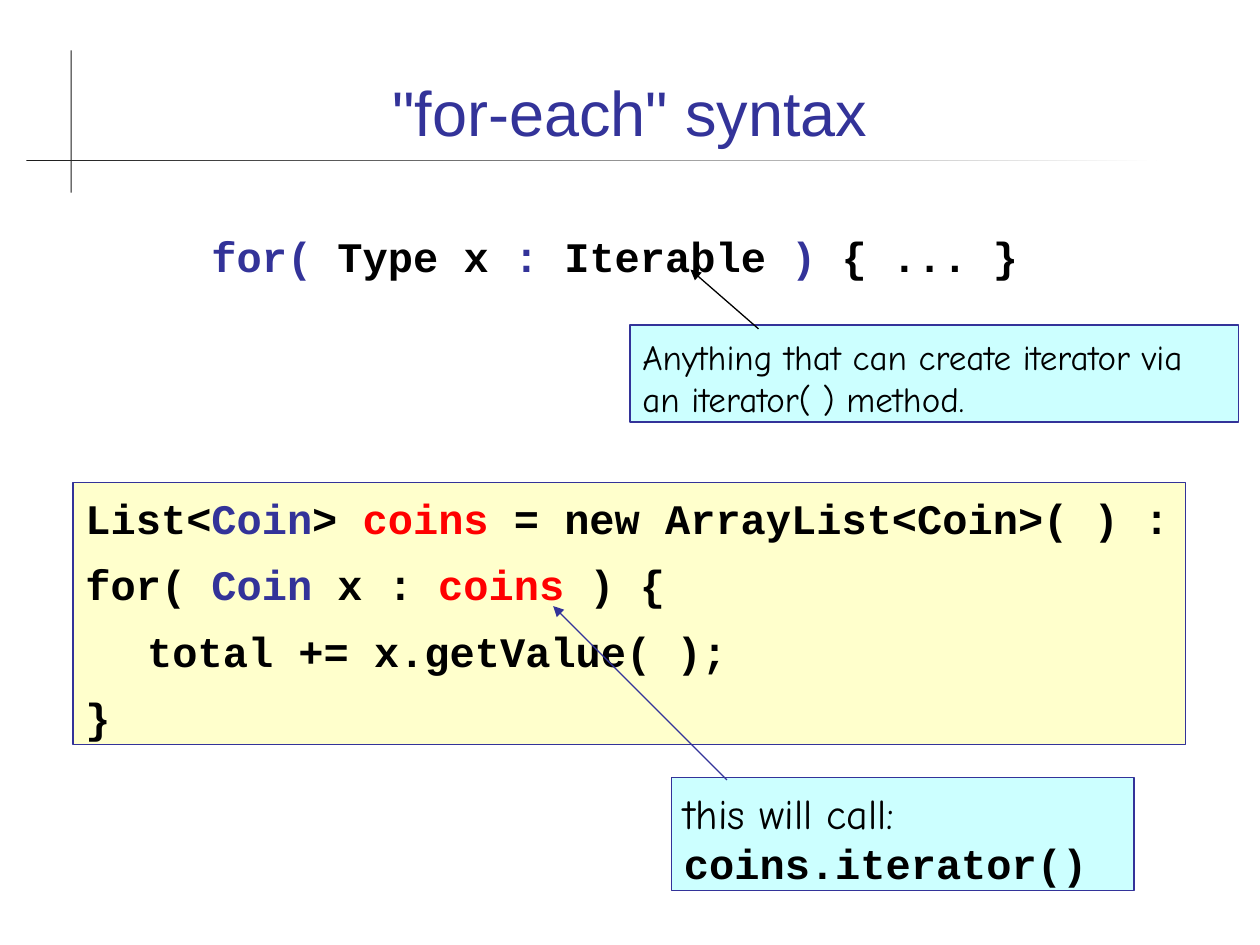
from pptx import Presentation
from pptx.dml.color import RGBColor
from pptx.enum.shapes import MSO_CONNECTOR, MSO_SHAPE
from pptx.enum.text import MSO_ANCHOR, PP_ALIGN
from pptx.oxml.ns import qn
from pptx.util import Inches, Pt
from lxml.etree import SubElement

BLUE, BLACK, RED = "333399", "000000", "FF0000"
YELLOW, CYAN = "FFFFCC", "CCFFFF"
MONO, COMIC = "Courier New", "Comic Neue"


def color(value):
    return RGBColor.from_string(value)


def style_span(span, font, size, ink, bold=False):
    span.font.name = font
    span.font.size = Pt(size)
    span.font.bold = bold
    span.font.color.rgb = color(ink)


def add_tab(para, position):
    tabs = SubElement(para._p.get_or_add_pPr(), qn("a:tabLst"))
    SubElement(tabs, qn("a:tab"), pos=str(Inches(position)), algn="l")


def fill_text(box, lines, size=24, gap=0, tab=None):
    """Each line is a list of (text, colour, font) spans."""
    frame = box.text_frame
    frame.word_wrap = True
    frame.vertical_anchor = MSO_ANCHOR.TOP
    frame.margin_top = Inches(0.08)
    for index, spans in enumerate(lines):
        para = frame.add_paragraph() if index else frame.paragraphs[0]
        para.alignment = PP_ALIGN.LEFT
        para.line_spacing = Pt(size * 1.2)
        if index:
            para.space_before = Pt(gap)
        if tab:
            add_tab(para, tab)
        for text, ink, font in spans:
            span = para.add_run()
            span.text = text
            style_span(span, font, size, ink, font == MONO)


def code(*spans):
    return [(text, ink, MONO) for text, ink in spans]


def add_panel(page, left, top, width, height, fill):
    box = page.shapes.add_shape(MSO_SHAPE.RECTANGLE, Inches(left), Inches(top),
                                Inches(width), Inches(height))
    box.shadow.inherit = False
    box.fill.solid()
    box.fill.fore_color.rgb = color(fill)
    box.line.color.rgb = color(BLUE)
    box.line.width = Pt(0.75)
    return box


def add_rule(page, left, top, width, height):
    rule = add_panel(page, left, top, width, height, "1C1C1C")
    rule.line.fill.background()
    return rule


def add_arrow(page, start, end, ink):
    arrow = page.shapes.add_connector(
        MSO_CONNECTOR.STRAIGHT, *(Inches(value) for value in start + end))
    arrow.line.color.rgb = color(ink)
    arrow.line.width = Pt(0.75)
    SubElement(arrow.line._get_or_add_ln(), qn("a:tailEnd"), type="triangle")
    SubElement(arrow._element.spPr, qn("a:effectLst"))


def set_title(page, text):
    title = page.shapes.title
    title.left, title.top = Inches(0.67), Inches(0.28)
    title.width, title.height = Inches(8.66), Inches(0.95)
    title.text_frame.text = text
    title.text_frame.vertical_anchor = MSO_ANCHOR.BOTTOM
    para = title.text_frame.paragraphs[0]
    para.alignment = PP_ALIGN.CENTER
    style_span(para.runs[0], "Arial", 36, BLUE)


def main():
    deck = Presentation()
    deck.slide_width, deck.slide_height = Inches(10), Inches(7.5)
    page = deck.slides.add_slide(deck.slide_layouts[5])

    # Crossed rules around the title
    add_rule(page, 0.56, 0.4, 0.01, 1.13)
    fade = add_rule(page, 0.21, 1.27, 8.97, 0.01).fill
    fade.gradient()
    fade.gradient_angle = 0
    for stop, ink in zip(fade.gradient_stops, ("1C1C1C", "FFFFFF")):
        stop.color.rgb = color(ink)
    set_title(page, '"for-each" syntax')

    # Code example
    example = add_panel(page, 0.58, 3.83, 8.83, 2.08, YELLOW)
    fill_text(example, [
        code(("List<", BLACK), ("Coin", BLUE), ("> ", BLACK), ("coins", RED),
             (" = new ArrayList<Coin>( ) :", BLACK)),
        code(("for( ", BLACK), ("Coin", BLUE), (" x : ", BLACK),
             ("coins", RED), (" ) {", BLACK)),
        code(("\ttotal += x.getValue( );", BLACK)),
        code(("}", BLACK)),
    ], gap=9, tab=0.49)

    # General form
    syntax = page.shapes.add_textbox(Inches(0.58), Inches(1.75),
                                     Inches(8.75), Inches(0.5))
    fill_text(syntax, [code(("\tfor(", BLUE), (" Type x ", BLACK), (":", BLUE),
                            (" Iterable ", BLACK), (")", BLUE),
                            (" { ... }", BLACK))], tab=1)

    # Callouts with their arrows
    call_note = add_panel(page, 5.33, 6.17, 3.67, 0.9, CYAN)
    fill_text(call_note, [[("this will call: ", BLACK, COMIC),
                           ("coins.iterator()", BLACK, MONO)]])
    add_arrow(page, (5.77, 6.19), (4.39, 4.81), BLUE)

    iterable_note = add_panel(page, 5, 2.58, 4.83, 0.77, CYAN)
    fill_text(iterable_note, [[("Anything that can create iterator via an "
                                "iterator( ) method.", BLACK, COMIC)]], size=20)
    add_arrow(page, (6.02, 2.61), (5.48, 2.14), BLACK)

    deck.save("out.pptx")


if __name__ == "__main__":
    main()
